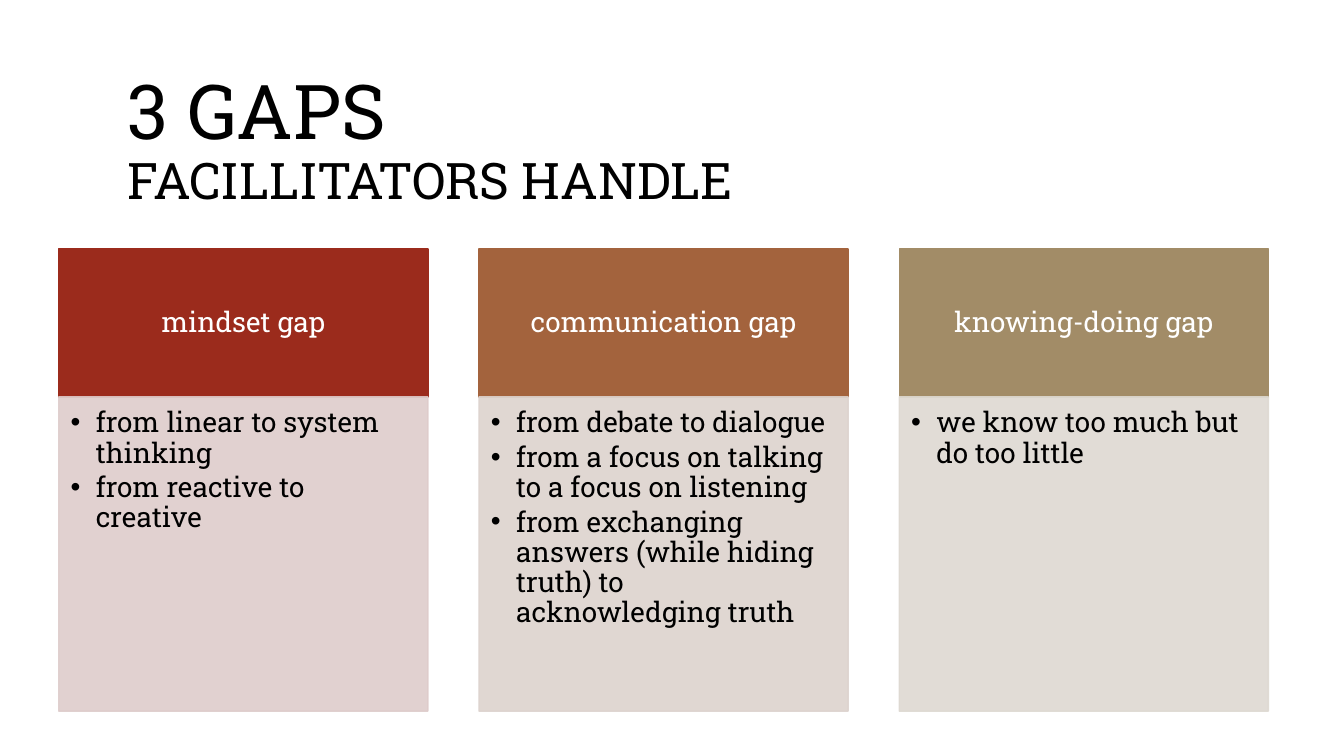
import pptx
import pptx.util
import pptx.dml.color
import pptx.enum.shapes
import pptx.enum.text
import pptx.oxml
import pptx.oxml.ns
import lxml.etree
from dataclasses import dataclass

Pt = pptx.util.Pt
ANCHOR = pptx.enum.text.MSO_ANCHOR
ALIGN = pptx.enum.text.PP_ALIGN


@dataclass(frozen=True)
class Theme:
    font: str = "Roboto Slab"
    dark: str = "000000"
    light: str = "FFFFFF"
    title_size: int = 54
    subtitle_size: int = 36
    text_size: int = 20
    line_spacing: float = 0.9


THEME = Theme()

# Heading, header colour, panel colour, bullet points
GAPS = [
    ("mindset gap", "9B2B1C", "DECCCB",
     ["from linear to system thinking", "from reactive to creative"]),
    ("communication gap", "A3633D", "DDD3CE",
     ["from debate to dialogue",
      "from a focus on talking to a focus on listening",
      "from exchanging answers (while hiding truth) to acknowledging truth"]),
    ("knowing-doing gap", "A28C67", "DED9D2",
     ["we know too much but do too little"]),
]


def rgb(color):
    return pptx.dml.color.RGBColor.from_string(color)


def add_child(parent, tag, **attributes):
    child = lxml.etree.SubElement(parent, pptx.oxml.ns.qn(tag))
    for name, value in attributes.items():
        child.set(name, value)
    return child


def style_paragraph(paragraph, size, color, align=ALIGN.LEFT):
    paragraph.alignment = align
    paragraph.line_spacing = THEME.line_spacing
    paragraph.font.name = THEME.font
    paragraph.font.size = Pt(size)
    paragraph.font.color.rgb = rgb(color)


def set_bullet(paragraph, indent):
    properties = paragraph._p.get_or_add_pPr()
    properties.set("marL", str(Pt(indent)))
    properties.set("indent", str(-Pt(indent)))
    bullet_color = add_child(properties, "a:buClr")
    add_child(bullet_color, "a:srgbClr", val=THEME.dark)
    add_child(properties, "a:buFont", typeface="Arial")
    add_child(properties, "a:buChar", char="•")


def add_panel(slide, box, color, margins, anchor, opacity=100):
    shape = slide.shapes.add_shape(
        pptx.enum.shapes.MSO_SHAPE.RECTANGLE, *map(Pt, box))
    shape.shadow.inherit = False
    shape.fill.solid()
    shape.fill.fore_color.rgb = rgb(color)
    shape.line.color.rgb = rgb(color)
    shape.line.width = Pt(1)
    if opacity < 100:
        for fill_color in shape._element.spPr.iter(pptx.oxml.ns.qn("a:srgbClr")):
            add_child(fill_color, "a:alpha", val=str(opacity * 1000))
    frame = shape.text_frame
    frame.word_wrap = True
    frame.vertical_anchor = anchor
    (frame.margin_left, frame.margin_top,
     frame.margin_right, frame.margin_bottom) = map(Pt, margins)
    return frame


def fill_title(slide, box, heading, subheading):
    title = slide.shapes.title
    title.left, title.top, title.width, title.height = map(Pt, box)
    frame = title.text_frame
    frame.auto_size = pptx.enum.text.MSO_AUTO_SIZE.NONE
    frame.vertical_anchor = ANCHOR.MIDDLE
    paragraph = frame.paragraphs[0]
    style_paragraph(paragraph, THEME.title_size, THEME.dark)
    paragraph.add_run().text = heading
    paragraph.add_line_break()
    second_line = paragraph.add_run()
    second_line.text = subheading
    second_line.font.size = Pt(THEME.subtitle_size)


def add_gap_column(slide, box, heading, header_color, panel_color, points):
    left, top, width, height = box
    header_height = 105.5

    # Header
    frame = add_panel(slide, (left, top, width, header_height), header_color,
                      (11.5, 6.5, 11.5, 6.5), ANCHOR.MIDDLE)
    frame.text = heading
    style_paragraph(frame.paragraphs[0], THEME.text_size, THEME.light, ALIGN.CENTER)

    # Bulleted panel
    frame = add_panel(
        slide, (left, top + header_height, width, height - header_height),
        panel_color, (8.5, 8.5, 11.5, 12), ANCHOR.TOP, opacity=90)
    frame.text = "\n".join(points)
    for index, paragraph in enumerate(frame.paragraphs):
        set_bullet(paragraph, 18)
        style_paragraph(paragraph, THEME.text_size, THEME.dark)
        paragraph.space_before = Pt(3 if index else 0)


def add_gap_columns(slide, box, gaps, gutter):
    left, top, width, height = box
    column_width = (width - gutter * (len(gaps) - 1)) / len(gaps)
    for index, gap in enumerate(gaps):
        column_left = left + index * (column_width + gutter)
        add_gap_column(slide, (column_left, top, column_width, height), *gap)


def main():
    presentation = pptx.Presentation()
    presentation.slide_width = Pt(960)
    presentation.slide_height = Pt(540)
    slide = presentation.slides.add_slide(presentation.slide_layouts[5])
    fill_title(slide, (84, 38, 792, 127), "3 GAPS ", "FACILLITATORS HANDLE")
    add_gap_columns(slide, (42, 178, 864, 330), GAPS, gutter=36.5)
    presentation.save("out.pptx")


if __name__ == "__main__":
    main()
